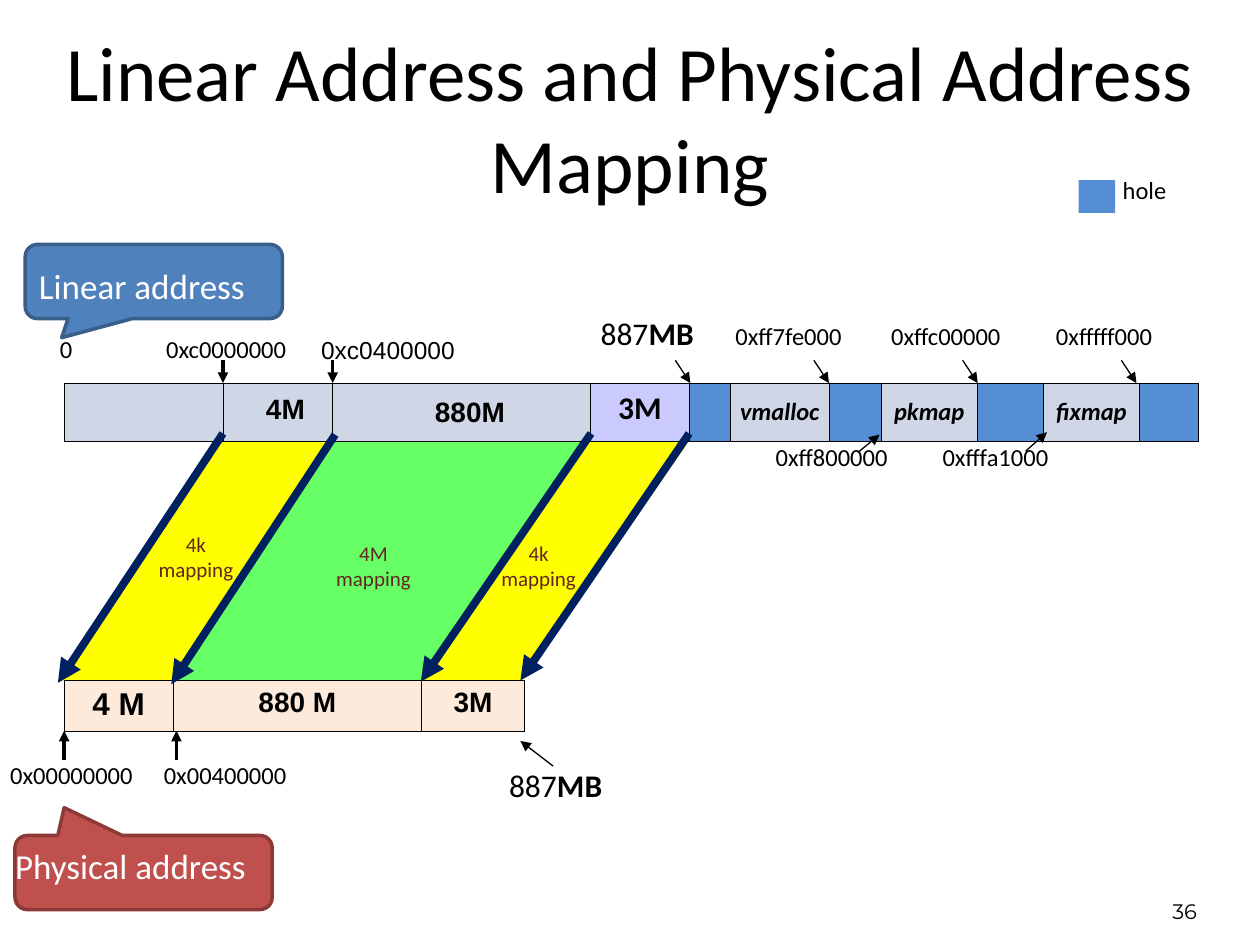
"""Build a slide that maps linear addresses to physical addresses."""
from lxml.etree import SubElement
from pptx import Presentation
from pptx.dml.color import RGBColor
from pptx.enum.shapes import MSO_CONNECTOR as CONN, MSO_SHAPE as SHAPE
from pptx.enum.text import MSO_ANCHOR as ANCHOR, MSO_AUTO_SIZE as AUTO, PP_ALIGN as ALIGN
from pptx.oxml.ns import qn
from pptx.util import Pt

COLORS = {
    "text": "000000", "white": "FFFFFF", "brown": "632523", "navy": "002060",
    "yellow": "FFFF00", "green": "66FF66", "hole": "558ED5", "kernel": "CFD7E7",
    "tail": "CACAFF", "physical": "FDEADA", "blue": "4F81BD", "blue_edge": "3A5E8A",
    "red": "C0504D", "red_edge": "8C3A38",
}


def rgb(name):
    return RGBColor.from_string(COLORS[name])


def set_attrs(obj, values):
    for key, value in values.items():
        setattr(obj, key, value)


def add_run(p, text, size, font="Calibri", color="text", **fmt):
    r = p.add_run()
    r.text = text
    set_attrs(r.font, {"size": Pt(size), "name": font, **fmt})
    r.font.color.rgb = rgb(color)


def set_margins(obj, x, y):
    set_attrs(obj, {"margin_left": Pt(x), "margin_right": Pt(x),
                    "margin_top": Pt(y), "margin_bottom": Pt(y)})


def paint(sp, fill, edge=None):
    sp.shadow.inherit = False
    sp.fill.solid()
    sp.fill.fore_color.rgb = rgb(fill)
    if edge:
        sp.line.color.rgb = rgb(edge)
        sp.line.width = Pt(2)
    else:
        sp.line.fill.background()


def add_title(s, text):
    sp = s.shapes.title
    set_attrs(sp, {"left": Pt(36), "top": Pt(21.6), "width": Pt(648), "height": Pt(90)})
    tf = sp.text_frame
    set_margins(tf, 0, 0)
    set_attrs(tf, {"vertical_anchor": ANCHOR.MIDDLE, "auto_size": AUTO.NONE})
    p = tf.paragraphs[0]
    p.alignment = ALIGN.CENTER
    add_run(p, text, 44)


def add_label(s, box, text, size=14, align=ALIGN.LEFT, anchor=ANCHOR.TOP,
              inset=(0, 0), bold_end="", **fmt):
    tf = s.shapes.add_textbox(*map(Pt, box)).text_frame
    set_margins(tf, *inset)
    set_attrs(tf, {"word_wrap": True, "vertical_anchor": anchor})
    for i, line in enumerate(text.split("\n")):
        p = tf.add_paragraph() if i else tf.paragraphs[0]
        p.alignment = align
        add_run(p, line, size, **fmt)
    if bold_end:
        add_run(p, bold_end, size, bold=True, **fmt)


def add_band(s, points, color):
    start, *rest = [(Pt(x), Pt(y)) for x, y in points]
    fb = s.shapes.build_freeform(*start)
    fb.add_line_segments(rest, close=True)
    paint(fb.convert_to_shape(), color, color)


def add_callout(s, box, tip, color):
    x, y, w, h = box
    sp = s.shapes.add_shape(SHAPE.ROUNDED_RECTANGULAR_CALLOUT, *map(Pt, box))
    sp.adjustments[0] = (tip[0] - x) / w - 0.5
    sp.adjustments[1] = (tip[1] - y) / h - 0.5
    paint(sp, color, color + "_edge")


def add_arrow(s, start, end, width=0.75, color="text"):
    cx = s.shapes.add_connector(CONN.STRAIGHT, *map(Pt, (*start, *end)))
    cx.line.color.rgb = rgb(color)
    cx.line.width = Pt(width)
    SubElement(cx.line._get_or_add_ln(), qn("a:tailEnd"), type="triangle")
    SubElement(cx._element.spPr, qn("a:effectLst"))


def add_borders(cell):
    tcPr = cell._tc.get_or_add_tcPr()
    for side in ("L", "R", "T", "B"):
        ln = SubElement(tcPr, qn(f"a:ln{side}"), w=str(Pt(0.45)))
        fill = SubElement(ln, qn("a:solidFill"))
        SubElement(fill, qn("a:srgbClr"), val=COLORS["text"])


def add_memory_row(s, left, top, height, segments):
    """Each segment is width, fill, text, font size and extra font values."""
    total = sum(seg[0] for seg in segments)
    tbl = s.shapes.add_table(1, len(segments), Pt(left), Pt(top), Pt(total), Pt(height)).table
    set_attrs(tbl, {"first_row": False, "horz_banding": False})
    tbl.rows[0].height = Pt(height)
    for i, (width, fill, text, size, fmt) in enumerate(segments):
        tbl.columns[i].width = Pt(width)
        cell = tbl.cell(0, i)
        set_margins(cell, 3.6, 3.6)
        add_borders(cell)
        cell.fill.solid()
        cell.fill.fore_color.rgb = rgb(fill)
        if fmt.get("italic"):
            cell.vertical_anchor = ANCHOR.MIDDLE
        p = cell.text_frame.paragraphs[0]
        p.alignment = ALIGN.CENTER
        if text:
            add_run(p, text, size, bold=True, **fmt)


def main():
    prs = Presentation()
    prs.slide_width, prs.slide_height = Pt(720), Pt(540)
    s = prs.slides.add_slide(prs.slide_layouts[5])

    add_band(s, [(242, 389.5), (337.7, 248.4), (394.6, 249.1), (298.8, 387.4)], "yellow")
    add_band(s, [(190.8, 248.4), (337.7, 248.4), (240.5, 389.5), (99.4, 389.5)], "green")
    add_band(s, [(126.7, 248.4), (190.8, 248.4), (98.6, 389.5), (36, 388.1)], "yellow")
    add_callout(s, (8.6, 477.4, 147, 42.4), (36.7, 461.5), "red")
    add_callout(s, (14.4, 139.7, 147, 42.4), (35.3, 193), "blue")
    add_title(s, "Linear Address and Physical Address Mapping")

    arial, italic = {"font": "Arial"}, {"italic": True}
    add_memory_row(s, 36.7, 218.9, 33.6, [
        (90.9, "kernel", "", 18, {}), (62.6, "kernel", "", 18, {}),
        (147.2, "kernel", "", 18, {}), (56.6, "tail", "3M", 18, {}),
        (23.2, "hole", "", 18, {}), (57, "kernel", "vmalloc", 14, italic),
        (29.7, "hole", "", 18, {}), (54.5, "kernel", "pkmap", 14, italic),
        (38.2, "hole", "", 18, {}), (54.5, "kernel", "fixmap", 14, italic),
        (33.8, "hole", "", 18, {})])
    add_memory_row(s, 36.7, 388.9, 29.2, [
        (62.3, "physical", "4 M", 18, arial), (141.8, "physical", "880 M", 16, arial),
        (58.9, "physical", "3M", 16, arial)])

    add_label(s, (22.3, 151.2, 139, 24), "Linear address", 20, color="white")
    add_label(s, (8.6, 482.4, 147.6, 24), "Physical address", 20, color="white")
    for x, y, text in [
            (34.2, 190.8, "0"), (95, 190.8, "0xc0000000"),
            (420.2, 183.6, "0xff7fe000"), (509.2, 183.6, "0xffc00000"),
            (603.4, 183.6, "0xfffff000"), (443.2, 252.7, "0xff800000"),
            (538.6, 252.7, "0xfffa1000"), (5.8, 434.2, "0x00000000"),
            (93.6, 434.2, "0x00400000"), (641.5, 100.1, "hole")]:
        add_label(s, (x, y, 82, 16.6), text)
    for x, y in [(343.2, 179.3), (290.9, 437.8)]:
        add_label(s, (x, y, 60, 21.6), "887", 18, bold_end="MB")
    for box, text in [((82.1, 303.8, 59.8, 28.8), "4k\nmapping"),
                      ((277.9, 308.9, 59.8, 28.8), "4k\nmapping"),
                      ((180.7, 308.9, 65.5, 28.8), "4M\nmapping")]:
        add_label(s, box, text, 12, ALIGN.CENTER, ANCHOR.MIDDLE, color="brown")
    inset = (7.2, 3.6)
    add_label(s, (176.4, 187.9, 110.2, 24.5), "0xc0400000", inset=inset, font="Arial")
    for box, text in [((139, 220.3, 48.2, 26.6), "4M"), ((239, 221.8, 59, 26.6), "880M")]:
        add_label(s, box, text, 16, ALIGN.CENTER, inset=inset, font="Arial", bold=True)
    add_label(s, (516.2, 513.4, 167.8, 14.4), "36", 12, ALIGN.RIGHT, ANCHOR.BOTTOM,
              font="Montserrat")

    hole = s.shapes.add_shape(SHAPE.RECTANGLE, Pt(616.3), Pt(103), Pt(20.9), Pt(18.7))
    paint(hole, "hole")

    for start, end in [((191.5, 248.4), (97.9, 391)), ((337.7, 247.7), (240.5, 389.5)),
                       ((393.8, 247.7), (297.4, 388.8)), ((127.4, 247.7), (33.1, 390.2))]:
        add_arrow(s, start, end, 4.5, "navy")
    for x in (385.9, 465.1, 550.1, 640.8):
        add_arrow(s, (x, 205.9), (x + 8.6, 218.9))
    for start, end in [((490.3, 258.5), (502.6, 248.4)), ((586.1, 257.8), (598.3, 247)),
                       ((316.1, 437.8), (297.4, 423.4))]:
        add_arrow(s, start, end)
    for x, y1, y2 in [(127.4, 205.9, 218.9), (190.1, 205.9, 218.9),
                      (100.8, 434.2, 417.6), (36.7, 434.2, 417.6)]:
        add_arrow(s, (x, y1), (x, y2), 2)

    prs.save("out.pptx")


if __name__ == "__main__":
    main()
